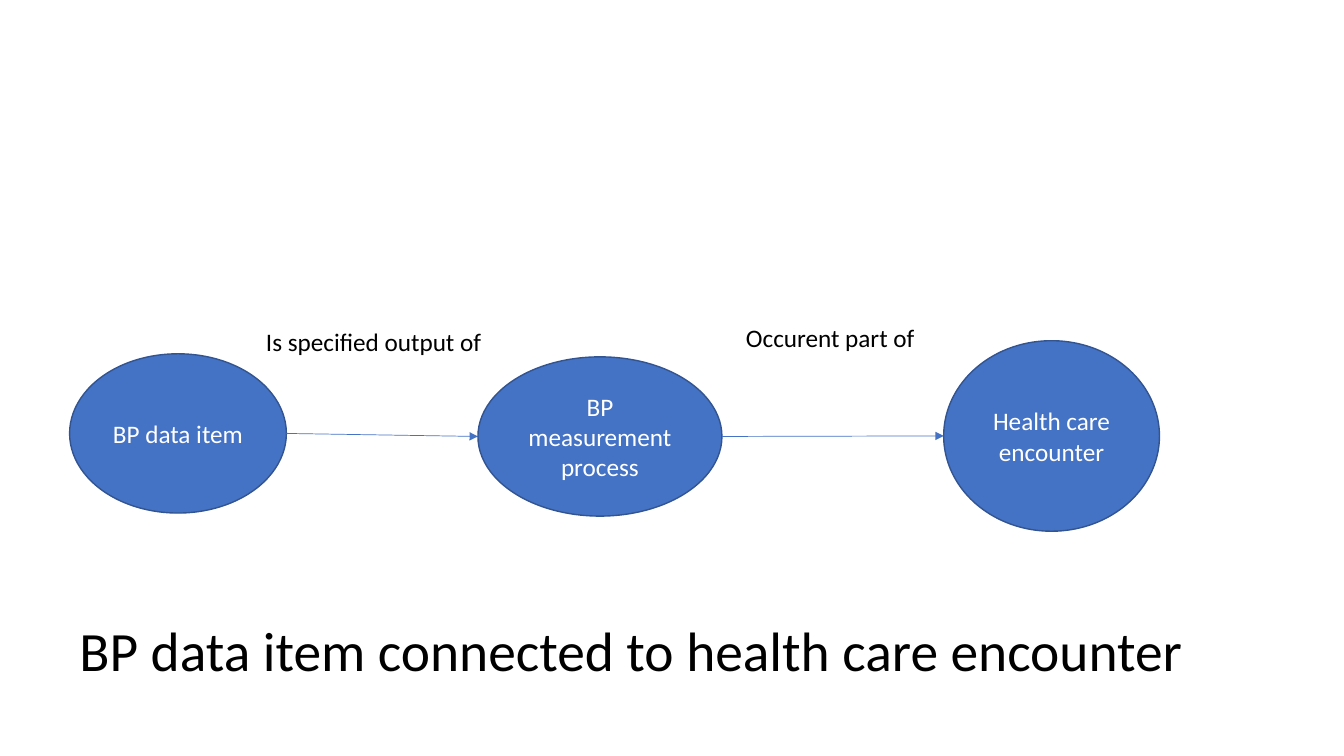
"""Build a slide linking a BP data item to a health care encounter."""
from dataclasses import dataclass

from lxml.etree import SubElement
from pptx import Presentation
from pptx.dml.color import RGBColor
from pptx.enum.shapes import MSO_CONNECTOR as Link, MSO_SHAPE as Preset
from pptx.enum.text import MSO_ANCHOR as Anchor, MSO_AUTO_SIZE as Fit, PP_ALIGN as Align
from pptx.oxml.ns import qn
from pptx.util import Inches, Pt


@dataclass(frozen=True)
class Theme:
    font: str = "Calibri"
    blue: RGBColor = RGBColor(0x44, 0x72, 0xC4)
    outline: RGBColor = RGBColor(0x32, 0x54, 0x91)
    white: RGBColor = RGBColor(255, 255, 255)
    black: RGBColor = RGBColor(0, 0, 0)
    body: Pt = Pt(18)
    title: Pt = Pt(39.6)


theme = Theme()


def write(box, text, size, color, frame_format, para_format):
    """Put one formatted paragraph into a box."""
    frame = box.text_frame
    para = frame.paragraphs[0]
    span = para.add_run()
    span.text = text
    span.font.color.rgb = color
    font_format = {"name": theme.font, "size": size}
    for target, values in ((frame, frame_format), (para, para_format), (span.font, font_format)):
        for name, value in values.items():
            setattr(target, name, value)


deck = Presentation()
deck.slide_width, deck.slide_height = Inches(13.33), Inches(7.5)
page = deck.slides.add_slide(deck.slide_layouts[6])

nodes = []
for text, *place in (
    ("BP data item", 0.69, 3.51, 2.15, 1.58),
    ("BP measurement process", 4.74, 3.54, 2.42, 1.58),
    ("Health care encounter", 9.36, 3.38, 2.14, 1.89),
):
    node = page.shapes.add_shape(Preset.OVAL, *map(Inches, place))
    node.shadow.inherit = False
    node.fill.solid()
    node.fill.fore_color.rgb = theme.blue
    node.line.color.rgb = theme.outline
    node.line.width = Pt(1)
    write(node, text, theme.body, theme.white,
          {"word_wrap": True, "vertical_anchor": Anchor.MIDDLE}, {"alignment": Align.CENTER})
    nodes.append(node)

for source, target in zip(nodes, nodes[1:]):
    arrow = page.shapes.add_connector(
        Link.STRAIGHT,
        source.left + source.width, source.top + source.height // 2,
        target.left, target.top + target.height // 2,
    )
    arrow.line.color.rgb = theme.blue
    arrow.line.width = Pt(0.5)
    SubElement(arrow.line._get_or_add_ln(), qn("a:tailEnd"), type="triangle")
    SubElement(arrow._element.spPr, qn("a:effectLst"))

for text, *place in (
    ("Is specified output of", 2.54, 3.19, 2.37, 0.4),
    ("Occurent part of", 7.3, 3.15, 1.95, 0.4),
):
    label = page.shapes.add_textbox(*map(Inches, place))
    write(label, text, theme.body, theme.black,
          {"word_wrap": False, "auto_size": Fit.SHAPE_TO_FIT_TEXT}, {"alignment": Align.LEFT})

title = page.shapes.add_textbox(Inches(0.69), Inches(6.15), Inches(11.5), Inches(0.7))
write(title, "BP data item connected to health care encounter", theme.title, theme.black,
      {"word_wrap": True, "vertical_anchor": Anchor.MIDDLE}, {"line_spacing": 0.8})

deck.save("out.pptx")
